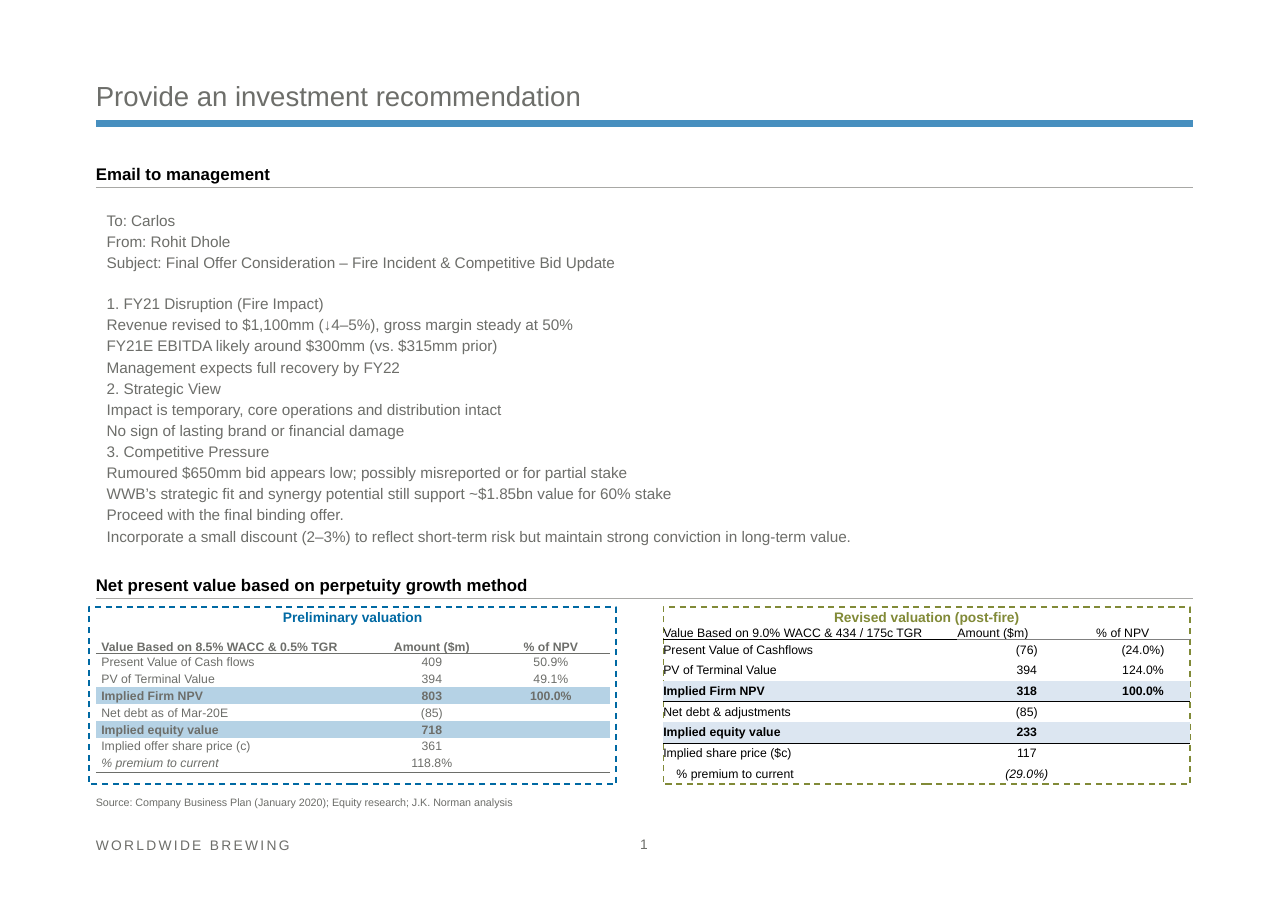
from dataclasses import dataclass

from lxml.etree import SubElement
from pptx import Presentation
from pptx.dml.color import RGBColor
from pptx.enum.dml import MSO_LINE
from pptx.enum.shapes import MSO_CONNECTOR, MSO_SHAPE
from pptx.enum.text import MSO_ANCHOR, PP_ALIGN
from pptx.oxml.ns import qn
from pptx.util import Inches, Pt

FONT = "Arial"
COLORS = {
    "text": "6D6E6A", "black": "000000", "bar": "478FBF", "rule": "A8A8A5",
    "blue": "0069A3", "olive": "818A37", "grey": "808080",
    "blue_band": "B5D2E5", "pale_band": "DCE6F1",
}
NO_GRID_STYLE = "{2D5ABB26-0587-4C30-8999-92F81FD0307C}"
LEFT, WIDTH = 0.87, 9.96
LEFT_ALIGN, CENTER = PP_ALIGN.LEFT, PP_ALIGN.CENTER
TOP, MIDDLE, BOTTOM = MSO_ANCHOR.TOP, MSO_ANCHOR.MIDDLE, MSO_ANCHOR.BOTTOM

Box = tuple[float, float, float, float]


@dataclass
class Label:
    paragraphs: tuple[str, ...]
    box: Box
    size: float
    color: str = "text"
    bold: bool = False
    align: PP_ALIGN = LEFT_ALIGN
    anchor: MSO_ANCHOR = TOP
    margins: Box = (0, 0, 0, 0)
    wrap: bool = True
    line_spacing: float = 1.0
    tracking: int = 0
    gap_before: int = -1
    outline: str = ""


@dataclass
class Row:
    cells: tuple[str, ...]
    total: bool = False
    bold: bool = False
    italic: int = -1
    rules: tuple[str, ...] = ()
    indent: float = 0


@dataclass
class Valuation:
    box: Box
    columns: tuple[float, ...]
    rows: tuple[Row, ...]
    color: str
    band: str
    header_align: PP_ALIGN
    inset: float = 0
    header_span: int = 1


def rgb(name: str) -> RGBColor:
    return RGBColor.from_string(COLORS[name])


def add_run(p, text: str, size: float, color: str, bold=False, italic=False):
    r = p.add_run()
    r.text = text
    r.font.name, r.font.size = FONT, Pt(size)
    r.font.bold, r.font.italic = bold, italic
    r.font.color.rgb = rgb(color)
    return r


def add_label(slide, label: Label) -> None:
    box = [Inches(v) for v in label.box]
    if label.outline:
        sp = slide.shapes.add_shape(MSO_SHAPE.RECTANGLE, *box)
        sp.shadow.inherit = False
        sp.fill.background()
        sp.line.color.rgb = rgb(label.outline)
        sp.line.width = Pt(1)
        sp.line.dash_style = MSO_LINE.DASH
    else:
        sp = slide.shapes.add_textbox(*box)
    tf = sp.text_frame
    tf.word_wrap, tf.vertical_anchor = label.wrap, label.anchor
    tf.margin_left, tf.margin_top, tf.margin_right, tf.margin_bottom = [
        Inches(v) for v in label.margins]
    for i, text in enumerate(label.paragraphs):
        p = tf.add_paragraph() if i else tf.paragraphs[0]
        p.alignment, p.line_spacing = label.align, label.line_spacing
        if i == label.gap_before:
            p.space_before = Pt(13.2)
        r = add_run(p, text, label.size, label.color, label.bold)
        if label.tracking:
            r.font._element.set("spc", str(label.tracking))


def add_rule(slide, y: float, color: str, width: float) -> None:
    line = slide.shapes.add_connector(
        MSO_CONNECTOR.STRAIGHT, Inches(LEFT), Inches(y), Inches(LEFT + WIDTH), Inches(y))
    line.line.color.rgb = rgb(color)
    line.line.width = Pt(width)
    SubElement(line._element.spPr, qn("a:effectLst"))


def add_bottom_border(cell, color: str) -> None:
    ln = SubElement(cell._tc.get_or_add_tcPr(), qn("a:lnB"), w=str(Pt(0.5)))
    fill = SubElement(ln, qn("a:solidFill"))
    SubElement(fill, qn("a:srgbClr"), val=COLORS[color])


def fill_cell(cell, table: Valuation, row: Row, col: int, header: bool) -> None:
    cell.margin_left = Inches(row.indent or table.inset) if col == 0 else 0
    cell.margin_right = cell.margin_top = cell.margin_bottom = 0
    cell.vertical_anchor = BOTTOM if header else MIDDLE
    if row.rules:
        add_bottom_border(cell, row.rules[col])
    if row.total:
        cell.fill.solid()
        cell.fill.fore_color.rgb = rgb(table.band)
    else:
        cell.fill.background()
    p = cell.text_frame.paragraphs[0]
    if col:
        p.alignment = table.header_align if header else CENTER
    if row.cells[col]:
        add_run(p, row.cells[col], 8, table.color, row.total or row.bold, col == row.italic)
    else:
        SubElement(p._p, qn("a:endParaRPr"), sz="800")


def add_valuation(slide, table: Valuation) -> None:
    count = len(table.rows)
    frame = slide.shapes.add_table(count, len(table.columns), *[Inches(v) for v in table.box])
    tbl = frame.table
    tbl.first_row = tbl.horz_banding = False
    tbl._tbl.tblPr.find(qn("a:tableStyleId")).text = NO_GRID_STYLE
    for column, width in zip(tbl.columns, table.columns):
        column.width = Inches(width)
    for i, row in enumerate(table.rows):
        tbl.rows[i].height = Inches(table.box[3] / count)
        for col in range(len(table.columns)):
            fill_cell(tbl.cell(i, col), table, row, col, i == 0)
    if table.header_span > 1:
        tbl.cell(0, 0).merge(tbl.cell(0, table.header_span - 1))


EMAIL = (
    "To: Carlos",
    "From: Rohit Dhole",
    "Subject: Final Offer Consideration – Fire Incident & Competitive Bid Update",
    "1. FY21 Disruption (Fire Impact)",
    "Revenue revised to $1,100mm (↓4–5%), gross margin steady at 50%",
    "FY21E EBITDA likely around $300mm (vs. $315mm prior)",
    "Management expects full recovery by FY22",
    "2. Strategic View",
    "Impact is temporary, core operations and distribution intact",
    "No sign of lasting brand or financial damage",
    "3. Competitive Pressure",
    "Rumoured $650mm bid appears low; possibly misreported or for partial stake",
    "WWB’s strategic fit and synergy potential still support ~$1.85bn value for 60% stake",
    "Proceed with the final binding offer.",
    "Incorporate a small discount (2–3%) to reflect short-term risk but maintain strong conviction in long-term value.",
)
SECTIONS = (("Email to management", 1.43),
            ("Net present value based on perpetuity growth method", 5.16))
PANELS = (("Preliminary valuation", 0.81, "blue"), ("Revised valuation (post-fire)", 6.02, "olive"))
LABELS = (
    Label(("WORLDWIDE BREWING",), (LEFT, 7.62, 2, 0.13), 9, anchor=BOTTOM, wrap=False,
          line_spacing=1.15, tracking=150),
    Label(("Provide an investment recommendation",), (LEFT, 0.27, WIDTH, 0.75), 18, anchor=BOTTOM),
    *(Label((text,), (LEFT, y, WIDTH, 0.27), 11, "black", True, anchor=BOTTOM,
            margins=(0, 0.05, 0.05, 0.03)) for text, y in SECTIONS),
    Label(("Source: Company Business Plan (January 2020); Equity research; J.K. Norman analysis",),
          (LEFT, 7.22, 3.83, 0.12), 7, wrap=False),
    *(Label((text,), (x, 5.51, 4.78, 1.61), 9, color, True, CENTER,
            margins=(0.1, 0.02, 0.1, 0.05), outline=color) for text, x, color in PANELS),
    Label(("1",), (5.72, 7.55, 0.25, 0.2), 9, align=CENTER, anchor=MIDDLE, wrap=False, line_spacing=1.15),
    Label(EMAIL, (LEFT, 1.84, WIDTH, 3.05), 10, margins=(0.1, 0.05, 0.1, 0.05),
          line_spacing=1.15, gap_before=3),
)
VALUATIONS = (
    Valuation((0.87, 5.78, 4.67, 1.23), (2.51, 1.08, 1.08), (
        Row(("Value Based on 8.5% WACC & 0.5% TGR", "Amount ($m)", "% of NPV"), bold=True, rules=("text",) * 3),
        Row(("Present Value of Cash flows", "409", "50.9%")),
        Row(("PV of Terminal Value", "394", "49.1%")),
        Row(("Implied Firm NPV", "803", "100.0%"), total=True),
        Row(("Net debt as of Mar-20E", "(85)", "")),
        Row(("Implied equity value", "718", ""), total=True),
        Row(("Implied offer share price (c)", "361", "")),
        Row(("% premium to current", "118.8%", ""), italic=0, rules=("text",) * 3),
    ), "text", "blue_band", CENTER, inset=0.05),
    Valuation((6.02, 5.62, 4.78, 1.5), (1.78, 0.89, 1.26, 0.85), (
        Row(("Value Based on 9.0% WACC & 434 / 175c TGR", "", "Amount ($m)", "% of NPV"),
            rules=("black", "black", "grey", "grey")),
        Row(("Present Value of Cashflows", "", "(76)", "(24.0%)")),
        Row(("PV of Terminal Value", "", "394", "124.0%")),
        Row(("Implied Firm NPV", "", "318", "100.0%"), total=True, rules=("black",) * 4),
        Row(("Net debt & adjustments", "", "(85)", "")),
        Row(("Implied equity value", "", "233", ""), total=True, rules=("black",) * 4),
        Row(("Implied share price ($c)", "", "117", "")),
        Row(("% premium to current", "", "(29.0%)", ""), italic=2, indent=0.12),
    ), "black", "pale_band", LEFT_ALIGN, header_span=2),
)


def main() -> None:
    prs = Presentation()
    prs.slide_width, prs.slide_height = Inches(11.69), Inches(8.27)
    slide = prs.slides.add_slide(prs.slide_layouts[6])
    add_rule(slide, 1.12, "bar", 4.5)
    for _, y in SECTIONS:
        add_rule(slide, y + 0.27, "rule", 0.75)
    for label in LABELS:
        add_label(slide, label)
    for table in VALUATIONS:
        add_valuation(slide, table)
    prs.save("out.pptx")


if __name__ == "__main__":
    main()
